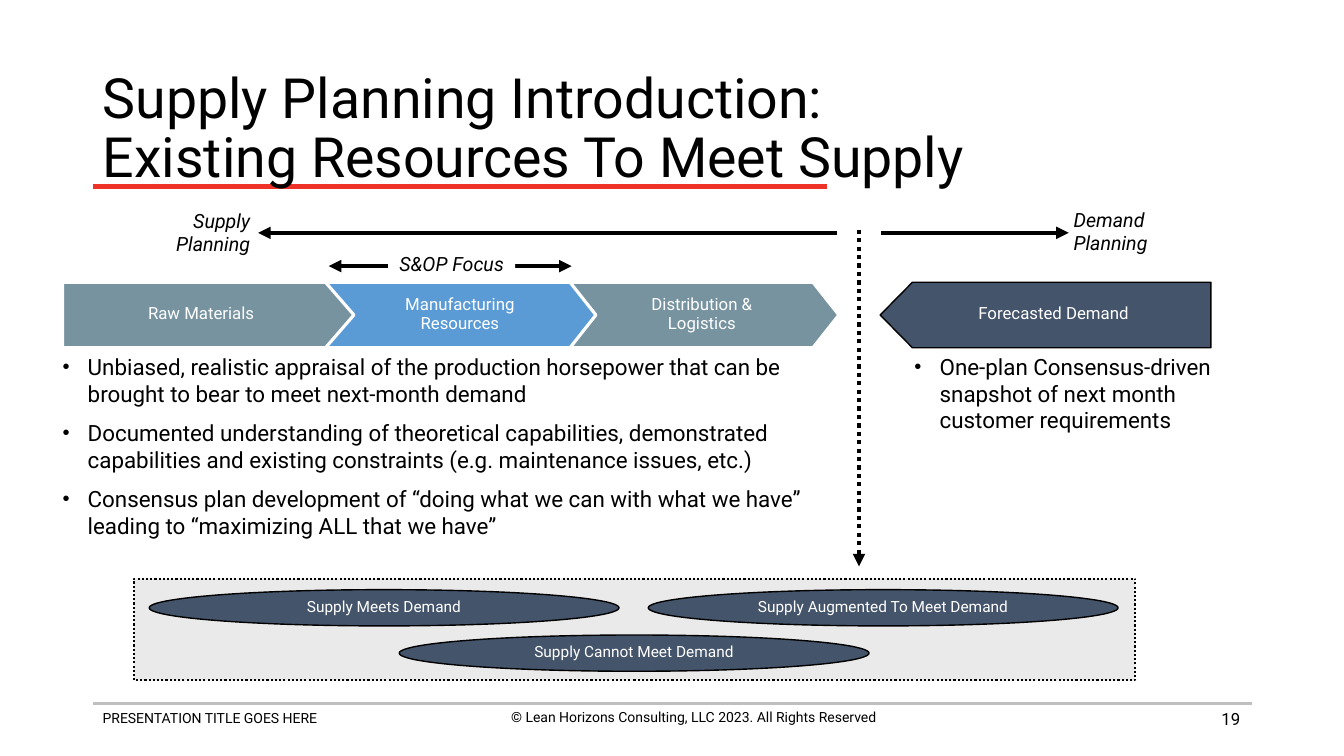
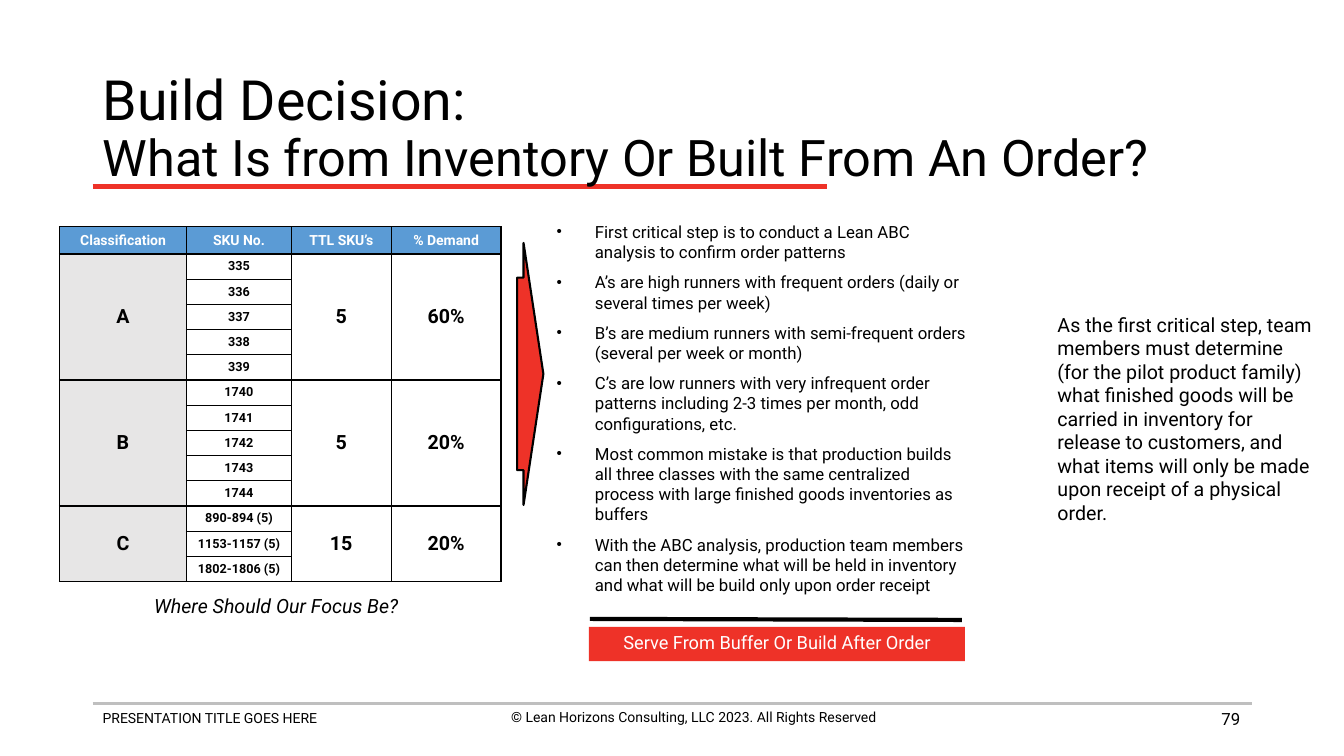
from dataclasses import dataclass

from lxml.etree import SubElement
from pptx import Presentation
from pptx.dml.color import RGBColor
from pptx.enum.dml import MSO_LINE
from pptx.enum.shapes import MSO_CONNECTOR, MSO_SHAPE
from pptx.enum.text import MSO_ANCHOR, MSO_AUTO_SIZE, PP_ALIGN
from pptx.oxml.ns import qn
from pptx.util import Inches, Pt


@dataclass(frozen=True)
class Theme:
    font: str = "Roboto"
    # Colours
    black: str = "000000"
    white: str = "FFFFFF"
    red: str = "EE3228"
    blue: str = "5B9BD5"
    teal: str = "76939F"
    navy: str = "44546A"
    rule: str = "BFBFBF"
    panel: str = "EAEAEA"
    class_fill: str = "E7E6E6"
    # Type sizes
    title: float = 39.6
    subtitle: float = 36
    list_large: float = 16
    note: float = 14
    button: float = 13
    small: float = 12
    outcome: float = 11
    footer: float = 10
    sku: float = 9


THEME = Theme()
ONE_LIST, TWO_LISTS = 1, 3
FOOTER = "PRESENTATION TITLE GOES HERE"
COPYRIGHT = "© Lean Horizons Consulting, LLC 2023. All Rights Reserved"


def inches(*lengths):
    return [Inches(length) for length in lengths]


class Deck:
    """Holds the style and the slide being built."""

    def __init__(self, theme):
        self.theme = theme
        self.prs = Presentation()
        self.prs.slide_width, self.prs.slide_height = inches(13.33, 7.5)
        self.slide = None

    def start(self, layout, number, title, sizes):
        """Adds a slide with its title, rules and footer."""
        t = self.theme
        self.slide = self.prs.slides.add_slide(self.prs.slide_layouts[layout])
        self.line((0.92, 6.98), (12.42, 6.98), t.rule, 2)
        self.text((0.92, 6.99, 4.56, 0.44), FOOTER, t.footer)
        self.text((4.6, 6.98, 4.56, 0.44), COPYRIGHT, t.footer, align=PP_ALIGN.CENTER)
        self.text((9.4, 6.93, 3, 0.4), str(number), t.small,
                  align=PP_ALIGN.RIGHT, anchor=MSO_ANCHOR.MIDDLE)
        self.line((0.92, 1.85), (8.2, 1.85), t.red)

        heading = self.slide.shapes.title
        self.place(heading, (0.92, 0.74, 11.5, 1.1))
        self.set_text(heading.text_frame, title, sizes[0], spacing=0.9, anchor=MSO_ANCHOR.MIDDLE)
        paragraph = heading.text_frame.paragraphs[0]
        for run, size in zip(paragraph.runs, sizes):
            run.font.size = Pt(size)
        for line_break in paragraph._p.findall(qn("a:br")):
            SubElement(line_break, qn("a:rPr"), sz=str(int(sizes[0] * 100)))
        # The title lies over the red rule
        self.slide.shapes._spTree.append(heading._element)

    def place(self, shape, at):
        shape.left, shape.top, shape.width, shape.height = inches(*at)

    def set_text(self, frame, text, size, color=None, align=PP_ALIGN.LEFT, italic=False,
                 spacing=1.0, gap=0.2, anchor=MSO_ANCHOR.TOP, insets=(0.1, 0.05, 0.1, 0.05)):
        """Fills a text frame; gap is the space before as a share of the size."""
        frame.text = text
        frame.word_wrap = True
        frame.auto_size = MSO_AUTO_SIZE.NONE
        frame.vertical_anchor = anchor
        (frame.margin_left, frame.margin_top,
         frame.margin_right, frame.margin_bottom) = inches(*insets)
        for index, paragraph in enumerate(frame.paragraphs):
            paragraph.alignment = align
            paragraph.line_spacing = spacing
            paragraph.space_before = Pt(size * gap if index else 0)
            self.style_runs(paragraph, size, color, italic=italic)

    def style_runs(self, paragraph, size, color=None, italic=False, bold=False):
        for run in paragraph.runs:
            run.font.name = self.theme.font
            run.font.size = Pt(size)
            run.font.italic = italic
            run.font.bold = bold
            run.font.color.rgb = RGBColor.from_string(color or self.theme.black)

    def text(self, at, text, size, **style):
        box = self.slide.shapes.add_textbox(*inches(*at))
        self.set_text(box.text_frame, text, size, **style)

    def bullets(self, index, at, items, size, indent, gap, **style):
        """Fills a body placeholder with a bulleted list."""
        body = self.slide.placeholders[index]
        self.place(body, at)
        self.set_text(body.text_frame, "\n".join(items), size, gap=gap, **style)
        for paragraph in body.text_frame.paragraphs:
            props = paragraph._p.get_or_add_pPr()
            props.set("marL", str(Inches(indent)))
            props.set("indent", str(-Inches(indent)))
            SubElement(props, qn("a:buSzPct"), val="90000")
            SubElement(props, qn("a:buFont"), typeface="Arial")
            SubElement(props, qn("a:buChar"), char="•")

    def line(self, start, end, color=None, width=3, head=False, tail=False, dotted=False):
        rule = self.slide.shapes.add_connector(MSO_CONNECTOR.STRAIGHT, *inches(*start, *end))
        self.outline(rule.line, color or self.theme.black, width, dotted)
        ends = rule.line._get_or_add_ln()
        for name, shown in (("a:headEnd", head), ("a:tailEnd", tail)):
            if shown:
                SubElement(ends, qn(name), type="triangle")
        SubElement(rule._element.spPr, qn("a:effectLst"))

    def outline(self, line, color, width, dotted=False):
        line.color.rgb = RGBColor.from_string(color)
        line.width = Pt(width)
        if dotted:
            line.dash_style = MSO_LINE.ROUND_DOT

    def shape(self, kind, at, fill, edge=None, width=1.0, dotted=False,
              adjust=(), flip=False, text="", size=12, color=None, **style):
        block = self.slide.shapes.add_shape(kind, *inches(*at))
        block.shadow.inherit = False
        block.fill.solid()
        block.fill.fore_color.rgb = RGBColor.from_string(fill)
        if edge:
            self.outline(block.line, edge, width, dotted)
        else:
            block.line.fill.background()
        for index, value in enumerate(adjust):
            block.adjustments[index] = value
        if flip:
            block._element.spPr.find(qn("a:xfrm")).set("flipH", "1")
        if text:
            self.set_text(block.text_frame, text, size, color or self.theme.white,
                          align=PP_ALIGN.CENTER, spacing=0.8, anchor=MSO_ANCHOR.MIDDLE, **style)

    def table(self, at, widths, heights):
        grid = self.slide.shapes.add_table(len(heights), len(widths), *inches(*at)).table
        grid.horz_banding = False
        for column, width in zip(grid.columns, widths):
            column.width = Inches(width)
        for row, height in zip(grid.rows, heights):
            row.height = Inches(height)
        for cell in grid.iter_cells():
            cell.fill.background()
            for index, side in enumerate(("a:lnL", "a:lnR", "a:lnT", "a:lnB")):
                props = cell._tc.get_or_add_tcPr()
                border = SubElement(props, qn(side), w=str(Pt(1)))
                paint = SubElement(border, qn("a:solidFill"))
                SubElement(paint, qn("a:srgbClr"), val=self.theme.black)
                props.insert(index, border)
        return grid

    def cell(self, cell, text, size, color=None, fill=None):
        cell.text_frame.text = text
        cell.vertical_anchor = MSO_ANCHOR.MIDDLE
        cell.text_frame.paragraphs[0].alignment = PP_ALIGN.CENTER
        self.style_runs(cell.text_frame.paragraphs[0], size, color, bold=True)
        if fill:
            cell.fill.solid()
            cell.fill.fore_color.rgb = RGBColor.from_string(fill)


def supply_planning(deck):
    t = deck.theme
    deck.start(TWO_LISTS, 19,
               "Supply Planning Introduction:\vExisting Resources To Meet Supply",
               (t.title, t.title))

    # Supply chain, each step lying over the one to its right
    steps = [("Distribution &\nLogistics", 5.43, t.teal, 0.395, 0.4),
             ("Manufacturing\nResources", 3.02, t.blue, 0.395, 0.42),
             ("Raw Materials", 0.62, t.teal, 0.434, 0.1)]
    for step, left, fill, point, inset in steps:
        deck.shape(MSO_SHAPE.PENTAGON, (left, 2.8, 2.89, 0.65), fill, t.white, 2.25,
                   adjust=[point], text=step, size=t.small, insets=(inset, 0.05, 0.1, 0.05))
    deck.shape(MSO_SHAPE.PENTAGON, (8.73, 2.8, 3.28, 0.65), t.navy, t.black,
               adjust=[0.492], flip=True, text="Forecasted Demand", size=t.small)

    # Planning ranges
    deck.line((3.26, 2.64), (5.67, 2.64), head=True, tail=True)
    deck.shape(MSO_SHAPE.RECTANGLE, (3.85, 2.49, 1.26, 0.29), t.white, text="S&OP Focus",
               size=t.note, color=t.black, italic=True, insets=(0, 0.05, 0, 0.05))
    deck.line((8.3, 2.31), (2.56, 2.31), tail=True)
    deck.line((8.74, 2.31), (10.6, 2.31), tail=True)
    deck.text((10.55, 2.06, 1.2, 0.53), "Demand\nPlanning", t.note, italic=True, spacing=0.8)
    deck.text((1.38, 2.07, 1.2, 0.53), "Supply\nPlanning", t.note, italic=True, spacing=0.8,
              align=PP_ALIGN.RIGHT)

    # What each side brings
    list_style = dict(size=t.list_large, indent=0.25, gap=0.55, insets=(0.08, 0.04, 0.08, 0.04))
    deck.bullets(1, (0.54, 3.46, 7.6, 1.99), [
        "Unbiased, realistic appraisal of the production horsepower that can be brought to bear "
        "to meet next-month demand",
        "Documented understanding of theoretical capabilities, demonstrated capabilities and "
        "existing constraints (e.g. maintenance issues, etc.)",
        "Consensus plan development of “doing what we can with what we have” leading to "
        "“maximizing ALL that we have”",
    ], **list_style)
    deck.bullets(2, (8.99, 3.46, 3.33, 0.89), [
        "One-plan Consensus-driven snapshot of next month customer requirements",
    ], **list_style)

    # Outcomes
    deck.shape(MSO_SHAPE.RECTANGLE, (1.33, 5.74, 9.93, 1.01), t.panel, t.black, 1.5, dotted=True)
    for outcome, left, top in (("Supply Meets Demand", 1.48, 5.85),
                               ("Supply Augmented To Meet Demand", 6.43, 5.85),
                               ("Supply Cannot Meet Demand", 3.96, 6.3)):
        deck.shape(MSO_SHAPE.OVAL, (left, top, 4.66, 0.36), t.navy, t.black,
                   text=outcome, size=t.outcome, insets=(0, 0, 0, 0))
    deck.line((8.52, 2.28), (8.52, 5.62), tail=True, dotted=True)


def build_decision(deck):
    t = deck.theme
    deck.start(ONE_LIST, 79,
               "Build Decision:\vWhat Is from Inventory Or Built From An Order?",
               (t.title, t.subtitle))
    deck.text((10.39, 3.05, 2.77, 2.22),
              "As the first critical step, team members must determine (for the pilot product "
              "family) what finished goods will be carried in inventory for release to customers, "
              "and what items will only be made upon receipt of a physical order.", t.note)

    # ABC classification
    headings = ["Classification", "SKU No.", "TTL SKU’s", "% Demand"]
    classes = [("A", ["335", "336", "337", "338", "339"], "5", "60%"),
               ("B", ["1740", "1741", "1742", "1743", "1744"], "5", "20%"),
               ("C", ["890-894 (5)", "1153-1157 (5)", "1802-1806 (5)"], "15", "20%")]
    sku_rows = sum(len(skus) for _, skus, _, _ in classes)
    grid = deck.table((0.59, 2.25, 4.38, 3.52), [1.26, 1.04, 0.99, 1.09],
                      [0.27] + [0.25] * sku_rows)
    for column, heading in enumerate(headings):
        deck.cell(grid.cell(0, column), heading, t.footer, t.white, t.blue)
    first = 1
    for name, skus, total, demand in classes:
        last = first + len(skus) - 1
        for column, value, fill in ((0, name, t.class_fill), (2, total, None), (3, demand, None)):
            grid.cell(first, column).merge(grid.cell(last, column))
            deck.cell(grid.cell(first, column), value, t.note, fill=fill)
        for row, sku in enumerate(skus, first):
            deck.cell(grid.cell(row, 1), sku, t.sku)
        first = last + 1

    # Findings
    deck.bullets(1, (5.42, 2.15, 4.27, 2.6), [
        "First critical step is to conduct a Lean ABC analysis to confirm order patterns",
        "A’s are high runners with frequent orders (daily or several times per week)",
        "B’s are medium runners with semi-frequent orders (several per week or month)",
        "C’s are low runners with very infrequent order patterns including 2-3 times per month, "
        "odd configurations, etc.",
        "Most common mistake is that production builds all three classes with the same "
        "centralized process with large finished goods inventories as buffers",
        "With the ABC analysis, production team members can then determine what will be held in "
        "inventory and what will be build only upon order receipt",
    ], t.small, indent=0.38, gap=0.6)

    # Conclusion
    deck.line((5.85, 6.14), (9.54, 6.15))
    deck.shape(MSO_SHAPE.RECTANGLE, (5.84, 6.22, 3.73, 0.34), t.red,
               text="Serve From Buffer Or Build After Order", size=t.button)
    deck.shape(MSO_SHAPE.RIGHT_ARROW, (5.13, 2.41, 0.26, 2.6), t.red, t.black, 1.5,
               adjust=[0.735, 0.757])
    deck.text((1.24, 5.89, 3, 0.29), "Where Should Our Focus Be?", t.note, italic=True,
              spacing=0.8, align=PP_ALIGN.CENTER)


def main():
    deck = Deck(THEME)
    supply_planning(deck)
    build_decision(deck)
    deck.prs.save("out.pptx")


if __name__ == "__main__":
    main()
